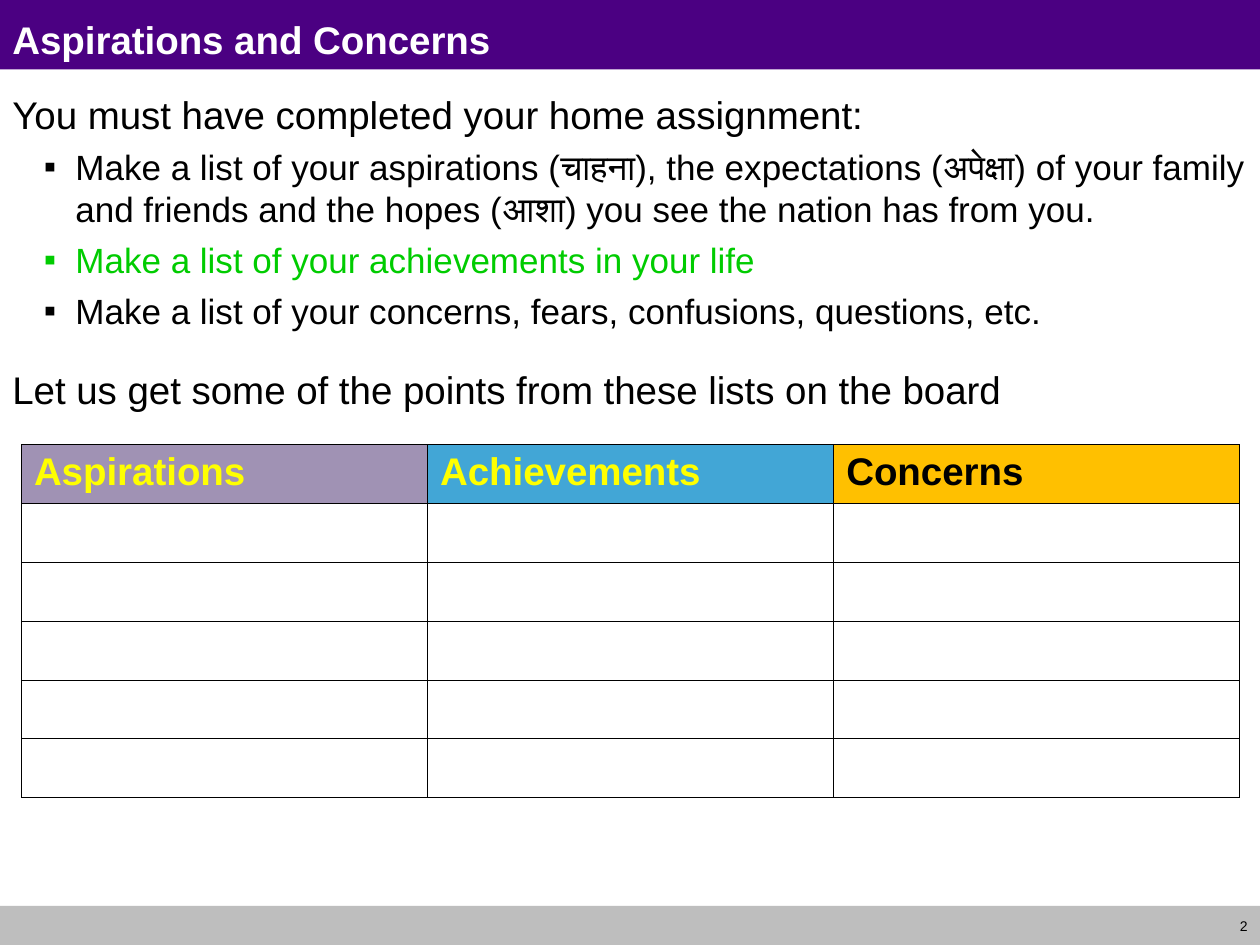
import pptx
import pptx.dml.color
import pptx.enum.shapes
import pptx.enum.text
import pptx.oxml
import pptx.oxml.ns
import pptx.util

RGBColor = pptx.dml.color.RGBColor
PP_ALIGN = pptx.enum.text.PP_ALIGN
MSO_ANCHOR = pptx.enum.text.MSO_ANCHOR

INDIGO = RGBColor(0x4B, 0x00, 0x82)
GREY = RGBColor(0xBE, 0xBE, 0xBE)
BLACK = RGBColor(0x00, 0x00, 0x00)
WHITE = RGBColor(0xFF, 0xFF, 0xFF)
GREEN = RGBColor(0x00, 0xCC, 0x00)
YELLOW = RGBColor(0xFF, 0xFF, 0x00)
MAUVE = RGBColor(0xA0, 0x92, 0xB4)
SKY = RGBColor(0x42, 0xA6, 0xD6)
AMBER = RGBColor(0xFF, 0xC0, 0x00)

COLUMNS, ROWS = 100, 75


def xml(tag, body="", **attrs):
    listed = "".join(f' {name}="{value}"' for name, value in attrs.items())
    return pptx.oxml.parse_xml(
        f'<a:{tag} {pptx.oxml.ns.nsdecls("a")}{listed}>{body}</a:{tag}>'
    )


def write(p, text, size=22, color=BLACK, bold=False, align=PP_ALIGN.LEFT,
          before=0, bullet=None, font="Arial"):
    if bullet:
        pPr = p._p.get_or_add_pPr()
        pPr.set("marL", str(pptx.util.Inches(0.5)))
        pPr.set("indent", str(pptx.util.Inches(-0.25)))
        pPr.append(xml("buClr", f'<a:srgbClr val="{color}"/>'))
        pPr.append(xml("buFont", typeface=font))
        pPr.append(xml("buChar", char=bullet))
    p.alignment = align
    p.space_before = pptx.util.Pt(before)
    r = p.add_run()
    r.text = text
    r.font.name = font
    r.font.size = pptx.util.Pt(size)
    r.font.bold = bold
    r.font.color.rgb = color


class Deck:
    def __init__(self, prs):
        self.prs = prs
        self.s = prs.slides.add_slide(prs.slide_layouts[6])
        self.border = pptx.util.Pt(0.45)

    def grid(self, left, top, width, height):
        col = self.prs.slide_width / COLUMNS
        row = self.prs.slide_height / ROWS
        return (round(left * col), round(top * row),
                round(width * col), round(height * row))

    def bar(self, top, height, color):
        sp = self.s.shapes.add_shape(
            pptx.enum.shapes.MSO_SHAPE.RECTANGLE,
            *self.grid(0, top, COLUMNS, height))
        sp.shadow.inherit = False
        sp.fill.solid()
        sp.fill.fore_color.rgb = color
        sp.line.fill.background()

    def text(self, area, paragraphs, anchor=MSO_ANCHOR.TOP):
        tf = self.s.shapes.add_textbox(*self.grid(*area)).text_frame
        tf.word_wrap = True
        tf.vertical_anchor = anchor
        for i, (text, style) in enumerate(paragraphs):
            p = tf.add_paragraph() if i else tf.paragraphs[0]
            write(p, text, **style)

    def outline(self, cell):
        tcPr = cell._tc.get_or_add_tcPr()
        for i, side in enumerate(("lnL", "lnR", "lnT", "lnB")):
            fill = f'<a:solidFill><a:srgbClr val="{BLACK}"/></a:solidFill>'
            tcPr.insert(i, xml(side, fill, w=self.border))

    def table(self, area, headers, rows):
        table = self.s.shapes.add_table(
            rows, len(headers), *self.grid(*area)).table
        for cell in table.iter_cells():
            cell.fill.solid()
            cell.fill.fore_color.rgb = WHITE
            self.outline(cell)
        for cell, (text, fill, color) in zip(table.rows[0].cells, headers):
            cell.fill.fore_color.rgb = fill
            write(cell.text_frame.paragraphs[0], text, color=color, bold=True)


def main():
    prs = pptx.Presentation()
    prs.slide_width = pptx.util.Inches(10)
    prs.slide_height = pptx.util.Inches(7.5)
    deck = Deck(prs)

    deck.bar(0, 5.5, INDIGO)
    deck.bar(71.9, 3.1, GREY)
    deck.text((95.3, 71.9, 4.7, 3.2),
              [("2", dict(size=8, align=PP_ALIGN.RIGHT))], MSO_ANCHOR.MIDDLE)
    deck.text((0, 0.8, COLUMNS, 4.2),
              [("Aspirations and Concerns", dict(color=WHITE, bold=True))])

    item = dict(size=20, before=5, bullet="▪")
    deck.text((0, 6.7, COLUMNS, 65), [
        ("You must have completed your home assignment:", {}),
        ("Make a list of your aspirations (चाहना), the expectations (अपेक्षा) "
         "of your family and friends and the hopes (आशा) you see the nation "
         "has from you.", item),
        ("Make a list of your achievements in your life",
         dict(item, color=GREEN)),
        ("Make a list of your concerns, fears, confusions, questions, etc.",
         item),
        ("Let us get some of the points from these lists on the board",
         dict(before=20)),
    ])

    deck.table((1.7, 35.3, 96.7, 28), [
        ("Aspirations", MAUVE, YELLOW),
        ("Achievements", SKY, YELLOW),
        ("Concerns", AMBER, BLACK),
    ], rows=6)

    prs.save("out.pptx")


if __name__ == "__main__":
    main()
